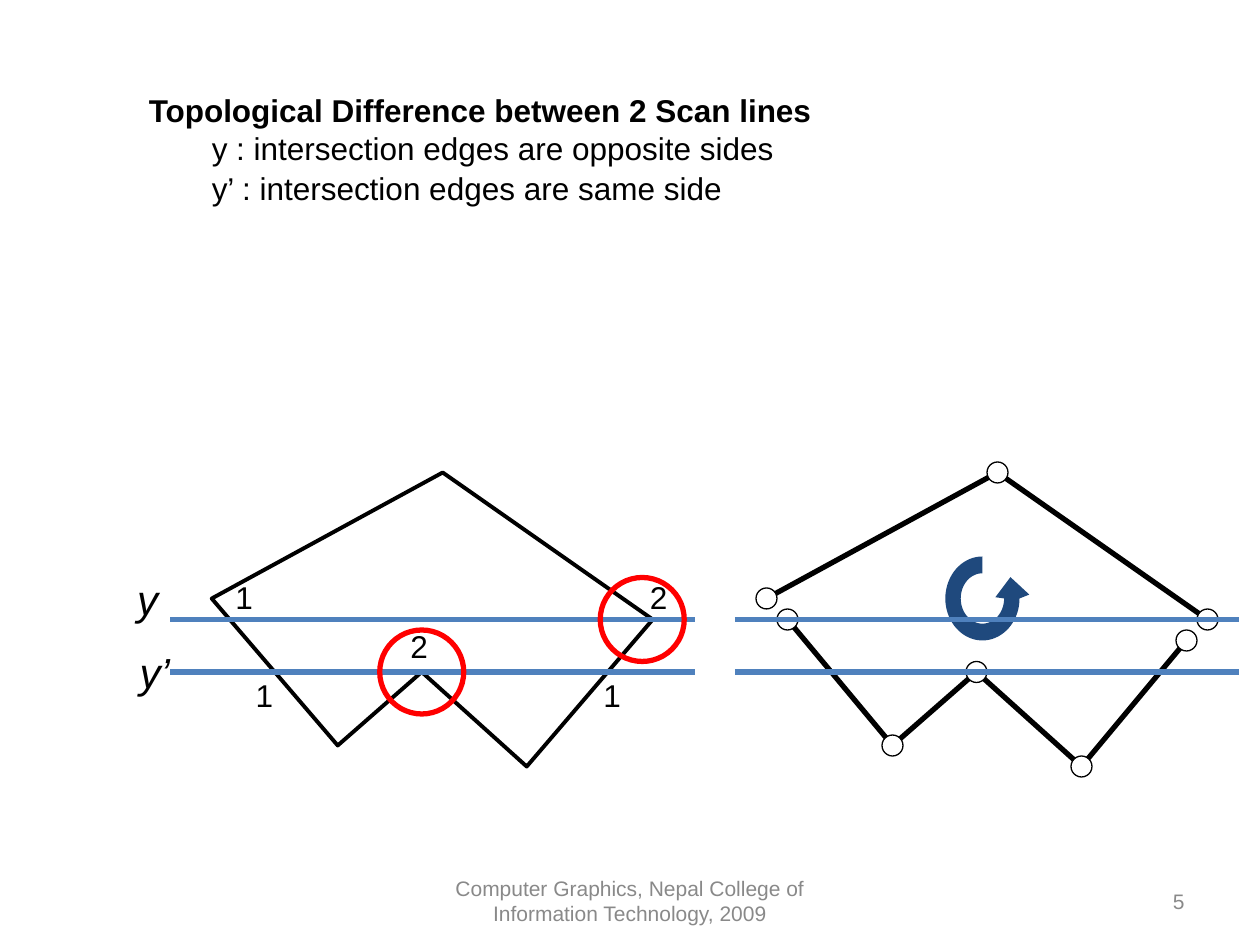
from math import cos, radians, sin

from lxml import etree
from pptx import Presentation
from pptx.dml.color import RGBColor
from pptx.enum.shapes import MSO_CONNECTOR, MSO_SHAPE
from pptx.enum.text import MSO_ANCHOR, MSO_AUTO_SIZE, PP_ALIGN
from pptx.oxml.ns import qn
from pptx.util import Pt

BLACK = RGBColor(0x00, 0x00, 0x00)
WHITE = RGBColor(0xFF, 0xFF, 0xFF)
GREY = RGBColor(0x89, 0x89, 0x89)
RED = RGBColor(0xFF, 0x00, 0x00)
BLUE = RGBColor(0x4F, 0x81, 0xBD)
NAVY = RGBColor(0x1F, 0x49, 0x7D)

FONT = "Arial"
SCAN_LINE_Y = 354
SCAN_LINE_Y_PRIME = 384
RIGHT_FIGURE_SHIFT = 317

LEFT_CORNER = (121, 342)
LEFT_FOOT = (193, 426)
NOTCH = (241, 384)
RIGHT_FOOT = (301, 438)
RIGHT_CORNER = (373, 354)
PEAK = (253, 270)
POLYGON = [LEFT_CORNER, LEFT_FOOT, NOTCH, RIGHT_FOOT, RIGHT_CORNER, PEAK]

INTERSECTION_COUNTS = [
    ("1", 139, 383),
    ("2", 227.5, 355),
    ("1", 337.7, 383),
    ("1", 127.5, 327),
    ("2", 364.3, 327),
]


def place(shape, left, top, width, height):
    shape.left, shape.top = Pt(left), Pt(top)
    shape.width, shape.height = Pt(width), Pt(height)


def write(paragraph, text, size=18, color=BLACK, bold=False, italic=False):
    run = paragraph.add_run()
    run.text = text
    run.font.name = FONT
    run.font.size = Pt(size)
    run.font.bold = bold
    run.font.italic = italic
    run.font.color.rgb = color


def add_heading(title):
    place(title, 77.8, 47.5, 570, 25.2)
    frame = title.text_frame
    frame.auto_size = MSO_AUTO_SIZE.NONE
    frame.vertical_anchor = MSO_ANCHOR.TOP
    frame.margin_bottom = 0
    paragraph = frame.paragraphs[0]
    paragraph.alignment = PP_ALIGN.LEFT
    paragraph.line_spacing = 1.05
    write(paragraph, "Topological Difference between 2 Scan lines", bold=True)


def add_explanations(body, lines):
    place(body, 77.8, 72.8, 570, 46.8)
    frame = body.text_frame
    frame.auto_size = MSO_AUTO_SIZE.NONE
    frame.margin_top = frame.margin_bottom = 0
    for index, line in enumerate(lines):
        paragraph = frame.add_paragraph() if index else frame.paragraphs[0]
        paragraph.level = 1
        paragraph.space_before = Pt(0)
        paragraph.line_spacing = 1.05
        properties = paragraph._p.get_or_add_pPr()
        properties.set("marL", str(Pt(36)))
        properties.set("indent", "0")
        etree.SubElement(properties, qn("a:buNone"))
        write(paragraph, line)


def add_footer(shapes, text, left, width, alignment):
    box = shapes.add_textbox(Pt(left), Pt(500.4), Pt(width), Pt(28.8))
    frame = box.text_frame
    frame.word_wrap = True
    frame.vertical_anchor = MSO_ANCHOR.MIDDLE
    frame.paragraphs[0].alignment = alignment
    write(frame.paragraphs[0], text, size=12, color=GREY)


def add_label(shapes, text, left, top, width=24.5, height=28.8, **style):
    box = shapes.add_textbox(Pt(left), Pt(top), Pt(width), Pt(height))
    frame = box.text_frame
    frame.word_wrap = False
    frame.auto_size = MSO_AUTO_SIZE.SHAPE_TO_FIT_TEXT
    write(frame.paragraphs[0], text, **style)
    return box


def add_scan_line(shapes, start, end, y):
    line = shapes.add_connector(MSO_CONNECTOR.STRAIGHT, Pt(start), Pt(y), Pt(end), Pt(y))
    line.line.color.rgb = BLUE
    line.line.width = Pt(3)
    etree.SubElement(line._element.spPr, qn("a:effectLst"))


def paint(shape, fill=None, line=None, weight=0):
    shape.shadow.inherit = False
    if fill is None:
        shape.fill.background()
    else:
        shape.fill.solid()
        shape.fill.fore_color.rgb = fill
    if line is None:
        shape.line.fill.background()
    else:
        shape.line.color.rgb = line
        shape.line.width = Pt(weight)


def add_outline(shapes, points, close=False, **colors):
    corners = [(Pt(x), Pt(y)) for x, y in points]
    builder = shapes.build_freeform(*corners[0])
    builder.add_line_segments(corners[1:], close=close)
    paint(builder.convert_to_shape(), **colors)


def add_circle(shapes, center, diameter, **colors):
    x, y = center
    circle = shapes.add_shape(
        MSO_SHAPE.OVAL, Pt(x - diameter / 2), Pt(y - diameter / 2), Pt(diameter), Pt(diameter)
    )
    paint(circle, **colors)


def add_turning_arrow(shapes):
    """Ring open at the upper right, with an arrowhead on its right end."""

    def arc(x_radius, y_radius):
        return [
            (561.4 + x_radius * cos(radians(angle)), 342 - y_radius * sin(radians(angle)))
            for angle in range(90, 361, 5)
        ]

    head = [(588.2, 339.8), (577.4, 329.8), (568.8, 341.3)]
    add_outline(shapes, arc(21.2, 24) + head + arc(12.4, 14.4)[::-1], close=True, fill=NAVY)


def add_left_figure(shapes):
    add_outline(shapes, POLYGON, close=True, line=BLACK, weight=2.25)
    for y in (SCAN_LINE_Y_PRIME, SCAN_LINE_Y):
        add_scan_line(shapes, 97.2, 397.2, y)
    for name, left, top, width in (("y", 71.3, 324, 26), ("y’", 72.7, 366, 31.7)):
        label = add_label(shapes, name, left, top, width, 36, size=24, italic=True)
        label.text_frame.vertical_anchor = MSO_ANCHOR.MIDDLE
    for center in (NOTCH, (367, SCAN_LINE_Y)):
        add_circle(shapes, center, 48, line=RED, weight=3)
    for count, left, top in INTERSECTION_COUNTS:
        add_label(shapes, count, left, top)


def add_right_figure(shapes):
    def shifted(points):
        return [(x + RIGHT_FIGURE_SHIFT, y) for x, y in points]

    upper_chain = shifted([RIGHT_CORNER, PEAK, LEFT_CORNER])
    lower_middle = shifted([LEFT_FOOT, NOTCH, RIGHT_FOOT])
    lower_start, lower_end = (450, SCAN_LINE_Y), (678, 366)

    add_turning_arrow(shapes)
    for chain in ([lower_start, *lower_middle, lower_end], upper_chain):
        add_outline(shapes, chain, line=BLACK, weight=3)
    for vertex in [lower_start, lower_end, *upper_chain, *lower_middle]:
        add_circle(shapes, vertex, 12, fill=WHITE, line=BLACK, weight=0.75)
    for y in (SCAN_LINE_Y_PRIME, SCAN_LINE_Y):
        add_scan_line(shapes, 420, 708, y)


def main():
    presentation = Presentation()
    presentation.slide_width, presentation.slide_height = Pt(720), Pt(540)
    slide = presentation.slides.add_slide(presentation.slide_layouts[1])
    shapes = slide.shapes

    add_heading(shapes.title)
    add_explanations(
        slide.placeholders[1],
        ["y : intersection edges are opposite sides", "y’ : intersection edges are same side"],
    )
    add_footer(
        shapes,
        "Computer Graphics, Nepal College of Information Technology, 2009",
        246, 228, PP_ALIGN.CENTER,
    )
    add_footer(shapes, "5", 516, 168, PP_ALIGN.RIGHT)
    add_left_figure(shapes)
    add_right_figure(shapes.add_group_shape().shapes)
    presentation.save("out.pptx")


if __name__ == "__main__":
    main()
